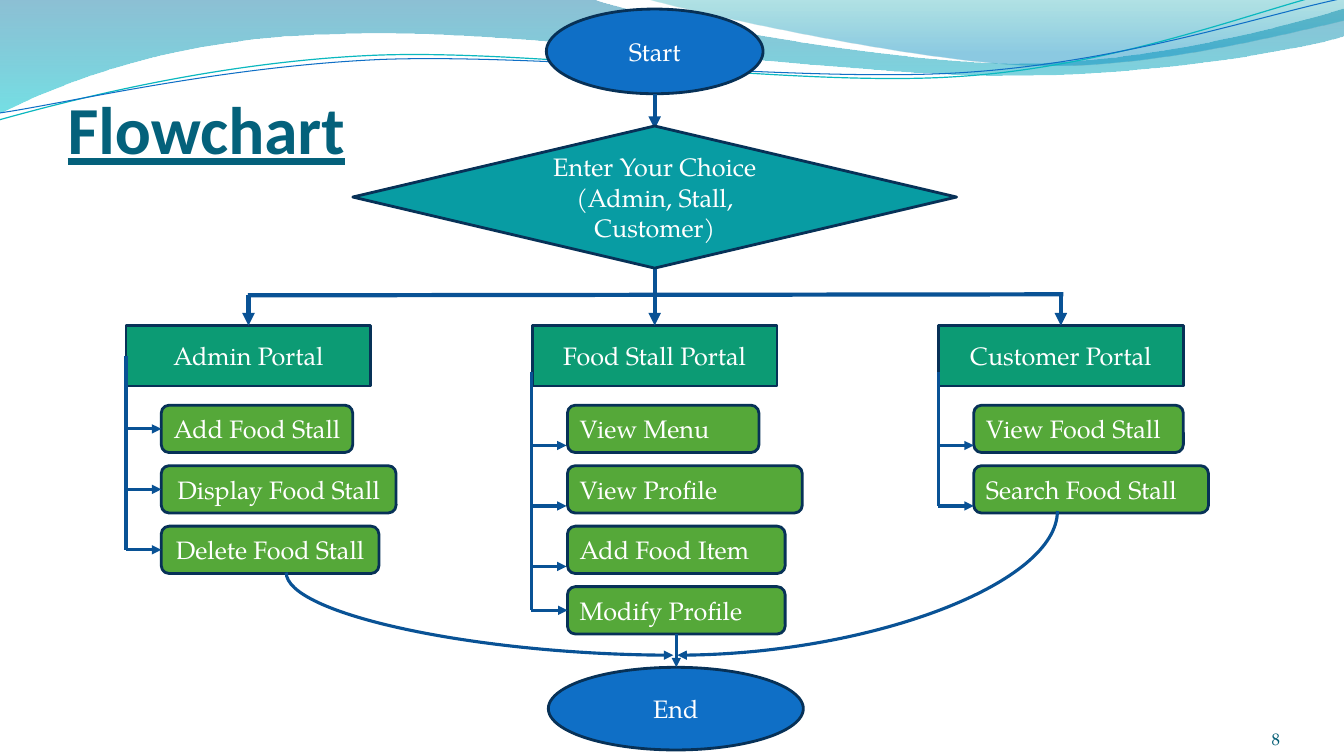
"""Build the food stall system flowchart slide."""
from math import cos, radians, sin
from lxml.etree import SubElement
from pptx import Presentation
from pptx.dml.color import RGBColor
from pptx.enum.shapes import MSO_CONNECTOR, MSO_SHAPE
from pptx.enum.text import MSO_ANCHOR, MSO_AUTO_SIZE, PP_ALIGN
from pptx.oxml.ns import qn
from pptx.util import Inches, Pt

COLORS = {
    "title": "04617B", "number": "045D75", "text": "FFFFFF", "outline": "073157",
    "arrow": "095295", "terminal": "0F6FC6", "choice": "089CA3",
    "portal": "0C9B74", "item": "55A839", "wave teal": "0AB8BF", "wave blue": "0F6FC6",
}
BODY_FONT = "TeX Gyre Pagella"

BANDS = [
    ([(0, 0), (5.87, -0.01), (6.34, 0.17, 8.85, 0.63, 10.11, 0.63),
      (11.38, 0.63, 12.78, 0.26, 13.33, 0.09), (13.35, 0.36),
      (13.11, 0.44, 11.6, 0.76, 9.94, 0.75), (8.29, 0.75, 5.09, 0.28, 3.43, 0.34),
      (1.72, 0.36, 0.61, 0.83, -0.01, 1.13), (0, 0)],
     [(0, "0074A1", 45), (1, "00C6CF", 55)]),
    ([(6.39, -0.01), (6.79, 0.11, 9.09, 0.62, 10.25, 0.65),
      (11.41, 0.69, 12.82, 0.32, 13.33, 0.21), (13.33, 0), (6.39, -0.01)],
     [(0, "00A1A9", 30), (0.8, "008BBF", 45)]),
]
WAVES = [
    ([(-0.01, 1.19), (0.64, 1.01, 2.11, 0.62, 3.69, 0.55),
      (5.27, 0.48, 7.9, 0.87, 9.5, 0.76), (11.1, 0.66, 12.52, 0.08, 13.31, -0.1)],
     "wave teal", 0.85),
    ([(0, 1.12), (0.63, 1.03, 2.18, 0.66, 3.78, 0.59),
      (5.37, 0.53, 7.96, 0.82, 9.55, 0.72), (11.15, 0.62, 12.55, 0.14, 13.34, -0.02)],
     "wave blue", 0.75),
]
WAVE_TILT, WAVE_CENTER = -2.7, (6.66, 0.58)

MIDDLE, LOW = 0.5, 0.85
PORTALS = [
    ("Admin Portal", 1.25, 3.53, PP_ALIGN.CENTER,
     [("Add Food Stall", 1.9, MIDDLE), ("Display Food Stall", 2.33, MIDDLE),
      ("Delete Food Stall", 2.16, MIDDLE)]),
    ("Food Stall Portal", 5.27, 3.69, PP_ALIGN.LEFT,
     [("View Menu", 1.9, LOW), ("View Profile", 2.33, LOW),
      ("Add Food Item", 2.16, LOW), ("Modify Profile", 2.16, MIDDLE)]),
    ("Customer Portal", 9.31, 3.69, PP_ALIGN.LEFT,
     [("View Food Stall", 2.08, LOW), ("Search Food Stall", 2.33, LOW)]),
]
LEFT, COLUMN, PORTAL_TOP, PORTAL_WIDTH, PORTAL_HEIGHT = 1.25, 4.03, 3.23, 2.43, 0.6
INDENT, ITEM_TOP, ROW, ITEM_HEIGHT = 0.35, 4.02, 0.6, 0.47
CENTER, BUS = LEFT + COLUMN + PORTAL_WIDTH / 2, 2.93


def write(shape, text, size=18, font=BODY_FONT, color="text", align=PP_ALIGN.CENTER,
          anchor=MSO_ANCHOR.MIDDLE, margins=(0.1, 0.05, 0.1, 0.05), bold=False, underline=False):
    """Fill a shape with formatted text."""
    frame = shape.text_frame
    frame.text = text
    frame.word_wrap = True
    frame.auto_size = MSO_AUTO_SIZE.NONE
    frame.vertical_anchor = anchor
    frame.margin_left, frame.margin_top, frame.margin_right, frame.margin_bottom = map(Inches, margins)
    for paragraph in frame.paragraphs:
        paragraph.alignment = align
        for run in paragraph.runs:
            run.font.name, run.font.size = font, Pt(size)
            run.font.bold, run.font.underline = bold, underline
            run.font.color.rgb = RGBColor.from_string(COLORS[color])


def add_box(slide, preset, box, fill, text, **text_format):
    """Add a filled, outlined and labelled shape."""
    shape = slide.shapes.add_shape(preset, *map(Inches, box))
    shape.shadow.inherit = False
    shape.fill.solid()
    shape.fill.fore_color.rgb = RGBColor.from_string(COLORS[fill])
    shape.line.color.rgb = RGBColor.from_string(COLORS["outline"])
    shape.line.width = Pt(2)
    write(shape, text, **text_format)
    return shape


def add_line(slide, start, end, width=2.25, arrow=True, kind=MSO_CONNECTOR.STRAIGHT):
    """Add a connector between two points."""
    connector = slide.shapes.add_connector(kind, *map(Inches, (*start, *end)))
    connector.line.color.rgb = RGBColor.from_string(COLORS["arrow"])
    connector.line.width = Pt(width)
    properties = connector.element.spPr
    if arrow:
        SubElement(properties.find(qn("a:ln")), qn("a:tailEnd"), type="triangle")
    SubElement(properties, qn("a:effectLst"))
    return connector


def add_descending_curve(slide, start, end):
    """Add a quarter curve that leaves downwards and arrives sideways."""
    across, down = end[0] - start[0], end[1] - start[1]
    middle_x, middle_y = (start[0] + end[0]) / 2, (start[1] + end[1]) / 2
    side = 1 if across < 0 else -1
    half_width, half_height = side * down / 2, abs(across) / 2
    curve = add_line(slide, (middle_x - half_width, middle_y - half_height),
                     (middle_x + half_width, middle_y + half_height), kind=MSO_CONNECTOR.CURVE)
    properties = curve.element.spPr
    properties.find(qn("a:prstGeom")).set("prst", "curvedConnector2")
    properties.find(qn("a:xfrm")).set("rot", str((90 if side > 0 else 270) * 60000))


def add_outline(slide, segments, closed):
    """Add a freeform whose six-number segments are cubic curves."""
    ends = [(Inches(segment[-2]), Inches(segment[-1])) for segment in segments]
    builder = slide.shapes.build_freeform(*ends[0])
    builder.add_line_segments(ends[1:], close=closed)
    shape = builder.convert_to_shape()
    shape.shadow.inherit = False
    edges = list(shape.element.spPr.iter(qn("a:lnTo")))
    for edge, segment in zip(edges, segments[1:]):
        if len(segment) == 6:
            curve = SubElement(edge.getparent(), qn("a:cubicBezTo"))
            for x, y in zip(segment[::2], segment[1::2]):
                SubElement(curve, qn("a:pt"), x=str(Inches(x) - shape.left), y=str(Inches(y) - shape.top))
            edge.getparent().replace(edge, curve)
    return shape


def turn(segment, angle, center):
    """Rotate the points of a segment clockwise around a center."""
    cosine, sine = cos(radians(angle)), sin(radians(angle))
    turned = []
    for x, y in zip(segment[::2], segment[1::2]):
        across, down = x - center[0], y - center[1]
        turned += [center[0] + across * cosine - down * sine, center[1] + across * sine + down * cosine]
    return turned


def add_backdrop(slide):
    """Add the translucent bands and thin waves along the top."""
    for segments, stops in BANDS:
        band = add_outline(slide, segments, True)
        band.line.fill.background()
        band.fill.gradient()
        band.fill.gradient_angle = 270
        for stop, (position, color, opacity) in zip(band.fill.gradient_stops, stops):
            stop.position = position
            stop.color.rgb = RGBColor.from_string(color)
        for element, stop in zip(band.element.spPr.iter(qn("a:srgbClr")), stops):
            SubElement(element, qn("a:alpha"), val=str(stop[2] * 1000))
    for segments, color, width in WAVES:
        level = [turn(segment, -WAVE_TILT, WAVE_CENTER) for segment in segments]
        wave = add_outline(slide, level, False)
        wave.rotation = WAVE_TILT
        wave.fill.background()
        wave.line.color.rgb = RGBColor.from_string(COLORS[color])
        wave.line.width = Pt(width)


def add_portal(slide, column, portal):
    """Add one portal with its trunk line and items, and return the last item."""
    name, trunk, trunk_top, align, items = portal
    left = LEFT + column * COLUMN
    box = add_box(slide, MSO_SHAPE.RECTANGLE, (left, PORTAL_TOP, PORTAL_WIDTH, PORTAL_HEIGHT), "portal", name)
    center = left + PORTAL_WIDTH / 2
    drop = add_line(slide, (center, 2.63 if column == 1 else BUS), (center, PORTAL_TOP), width=3)
    drop.end_connect(box, 0)
    margin = 0.05 if align == PP_ALIGN.CENTER else 0.1
    for row, (label, width, share) in enumerate(items):
        top = ITEM_TOP + row * ROW
        item = add_box(slide, MSO_SHAPE.ROUNDED_RECTANGLE, (left + INDENT, top, width, ITEM_HEIGHT),
                       "item", label, align=align, margins=(margin, 0.05, 0.05, 0.05))
        level = top + share * ITEM_HEIGHT
        branch = add_line(slide, (trunk, level), (trunk + INDENT, level))
        if share == MIDDLE:
            branch.end_connect(item, 1)
    add_line(slide, (trunk, trunk_top), (trunk, level), arrow=False)
    return item


def main():
    """Assemble and save the slide."""
    presentation = Presentation()
    presentation.slide_width, presentation.slide_height = Inches(40 / 3), Inches(7.5)
    slide = presentation.slides.add_slide(presentation.slide_layouts[5])
    add_backdrop(slide)

    title = slide.shapes.title
    title.left, title.top, title.width, title.height = map(Inches, (0.67, 0.42, 4.84, 1.25))
    write(title, "Flowchart", size=48, font="Calibri", color="title", align=PP_ALIGN.LEFT,
          anchor=MSO_ANCHOR.BOTTOM, margins=(0, 0.05, 0, 0), bold=True, underline=True)
    number = slide.shapes.add_textbox(*map(Inches, (11.59, 7.03, 1.11, 0.4)))
    write(number, "8", size=12, color="number", align=PP_ALIGN.RIGHT,
          anchor=MSO_ANCHOR.BOTTOM, margins=(0, 0, 0, 0))

    add_box(slide, MSO_SHAPE.OVAL, (5.42, 0.09, 2.15, 0.84), "terminal", "Start")
    add_line(slide, (CENTER, 0.93), (CENTER, 1.28), width=3)
    last_items = [add_portal(slide, column, portal) for column, portal in enumerate(PORTALS)]
    add_line(slide, (2.46, BUS), (10.55, BUS - 0.01), width=3, arrow=False)
    add_box(slide, MSO_SHAPE.DIAMOND, (3.5, 1.25, 5.99, 1.41), "choice",
            "Enter Your Choice\n(Admin, Stall, Customer)", margins=(0.25, 0, 0.25, 0))

    add_box(slide, MSO_SHAPE.OVAL, (5.44, 6.62, 2.53, 0.82), "terminal", "End")
    finish = add_line(slide, (6.71, 6.29), (6.71, 6.62))
    finish.begin_connect(last_items[1], 2)
    add_descending_curve(slide, (10.49, 5.07), (6.72, 6.5))
    add_descending_curve(slide, (2.84, 5.68), (6.68, 6.5))
    presentation.save("out.pptx")


if __name__ == "__main__":
    main()
